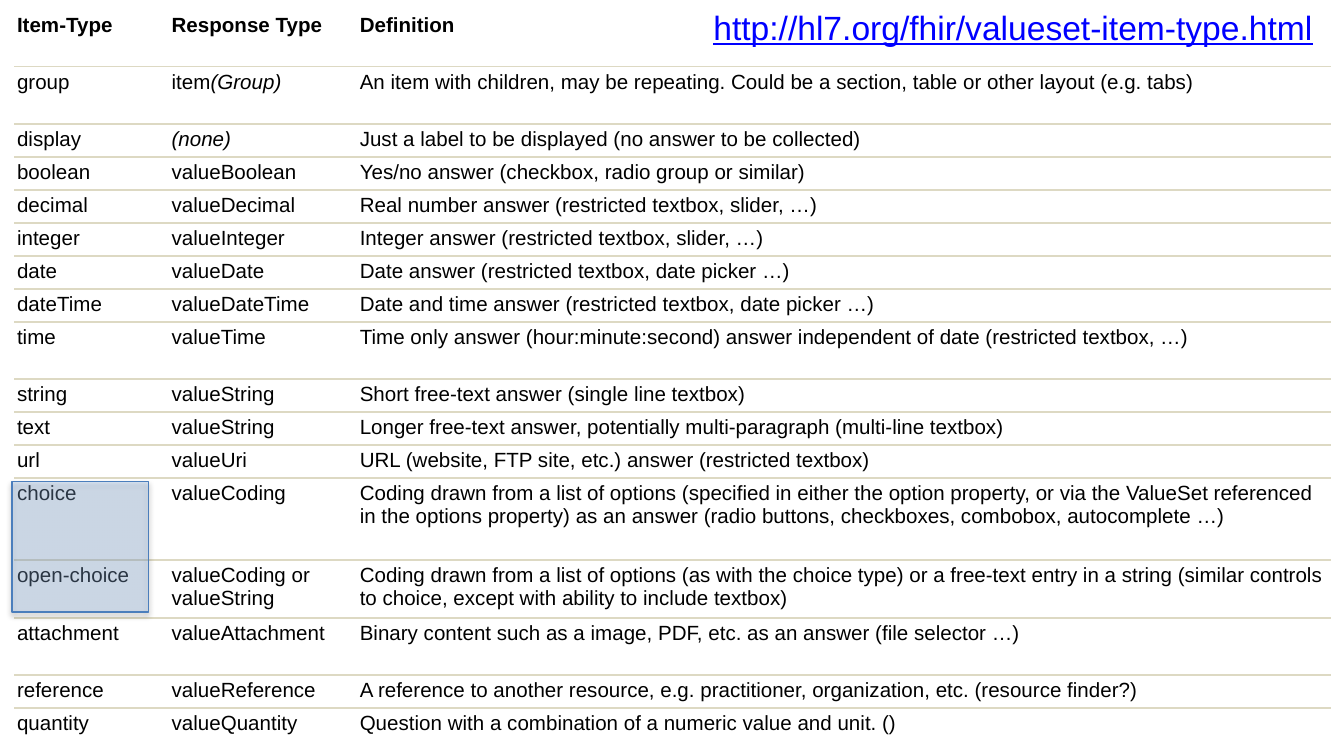
from dataclasses import dataclass

from lxml.etree import SubElement
from pptx import Presentation
from pptx.dml.color import RGBColor as Rgb
from pptx.enum.shapes import MSO_SHAPE as Shape
from pptx.enum.text import MSO_AUTO_SIZE as AutoSize
from pptx.oxml import parse_xml
from pptx.oxml.ns import nsdecls, qn
from pptx.util import Inches, Pt


@dataclass(frozen=True)
class Theme:
    """Colours, font and type sizes of the slide."""
    font: str = "Arial"
    ink: str = "000000"
    link: str = "0000FF"
    rule: str = "DDD9C3"
    marker_fill: str = "8EB4E3"
    marker_line: str = "4B7EBC"
    body_size: float = 11
    link_size: float = 18


THEME = Theme()
SLIDE_WIDTH = Inches(10)
SLIDE_HEIGHT = SLIDE_WIDTH * 9 // 16
COLUMN_SHARES = (1.15, 1.4, 7.25)
SINGLE, SPACED, DOUBLE, TRIPLE = 17.7, 30.6, 31, 43.9
HEADINGS = ("Item-Type", "Response Type", "Definition")
ITEM_TYPES = (
    (SPACED, "group", "item|(Group)", "An item with children, may be repeating. "
     "Could be a section, table or other layout (e.g. tabs)"),
    (SINGLE, "display", "|(none)", "Just a label to be displayed (no answer to be collected)"),
    (SINGLE, "boolean", "valueBoolean", "Yes/no answer (checkbox, radio group or similar)"),
    (SINGLE, "decimal", "valueDecimal", "Real number answer (restricted textbox, slider, …)"),
    (SINGLE, "integer", "valueInteger", "Integer answer (restricted textbox, slider, …)"),
    (SINGLE, "date", "valueDate", "Date answer (restricted textbox, date picker …)"),
    (SINGLE, "dateTime", "valueDateTime",
     "Date and time answer (restricted textbox, date picker …)"),
    (SPACED, "time", "valueTime", "Time only answer (hour:minute:second) answer "
     "independent of date (restricted textbox, …)"),
    (SINGLE, "string", "valueString", "Short free-text answer (single line textbox)"),
    (SINGLE, "text", "valueString",
     "Longer free-text answer, potentially multi-paragraph (multi-line textbox)"),
    (SINGLE, "url", "valueUri", "URL (website, FTP site, etc.) answer (restricted textbox)"),
    (TRIPLE, "choice", "valueCoding", "Coding drawn from a list of options (specified in "
     "either the option property, or via the ValueSet referenced in the options property) "
     "as an answer (radio buttons, checkboxes, combobox, autocomplete …)"),
    (DOUBLE, "open-choice", "valueCoding or valueString", "Coding drawn from a list of "
     "options (as with the choice type) or a free-text entry in a string (similar controls "
     "to choice, except with ability to include textbox)"),
    (SPACED, "attachment", "valueAttachment",
     "Binary content such as a image, PDF, etc. as an answer (file selector …)"),
    (SINGLE, "reference", "valueReference", "A reference to another resource, e.g. "
     "practitioner, organization, etc. (resource finder?)"),
    (SINGLE, "quantity", "valueQuantity",
     "Question with a combination of a numeric value and unit. ()"),
)


def percent_box(left, top, width, height):
    """Turn percentages of the slide into a box."""
    return (int(SLIDE_WIDTH * left / 100), int(SLIDE_HEIGHT * top / 100),
            int(SLIDE_WIDTH * width / 100), int(SLIDE_HEIGHT * height / 100))


def style_font(font, size, colour):
    """Set the theme font with a size and colour."""
    font.name, font.size = THEME.font, Pt(size)
    font.color.rgb = Rgb.from_string(colour)


def rule_cell(cell, sides):
    """Rule the given sides of a cell and clear the others."""
    properties = cell._tc.get_or_add_tcPr()
    for position, side in enumerate("LRTB"):
        paint = (f'<a:solidFill><a:srgbClr val="{THEME.rule}"/></a:solidFill>'
                 if side in sides else "<a:noFill/>")
        properties.insert(position, parse_xml(
            f'<a:ln{side} {nsdecls("a")} w="{Pt(1)}">{paint}</a:ln{side}>'))


def fill_cell(cell, wording, bold, sides):
    """Write a cell, with the part after a bar in italics."""
    cell.margin_left = cell.margin_right = Inches(0.02)
    cell.margin_top = cell.margin_bottom = Inches(0.03)
    cell.fill.background()
    paragraph = cell.text_frame.paragraphs[0]
    for position, part in enumerate(wording.split("|")):
        if part:
            run = paragraph.add_run()
            run.text = part
            style_font(run.font, THEME.body_size, THEME.ink)
            run.font.bold, run.font.italic = bold, position > 0
    rule_cell(cell, sides)


def add_item_table(slide, box):
    """Lay out the item types in a ruled table."""
    entries = ((SPACED, *HEADINGS), *ITEM_TYPES)
    table = slide.shapes.add_table(len(entries), len(HEADINGS), *box).table
    table.first_row = table.horz_banding = False
    for column, share in zip(table.columns, COLUMN_SHARES):
        column.width = int(box[2] * share / sum(COLUMN_SHARES))
    total = sum(entry[0] for entry in entries)
    last = len(entries) - 1
    for index, (share, *wordings) in enumerate(entries):
        table.rows[index].height = int(box[3] * share / total)
        sides = ("T" if index > 0 else "") + ("B" if index < last else "")
        for cell, wording in zip(table.rows[index].cells, wordings):
            fill_cell(cell, wording, index == 0, sides)


def add_source_link(slide, box):
    """Place the underlined web address."""
    frame = slide.shapes.add_textbox(*box).text_frame
    frame.word_wrap = False
    frame.auto_size = AutoSize.SHAPE_TO_FIT_TEXT
    frame.text = "http://hl7.org/fhir/valueset-item-type.html"
    font = frame.paragraphs[0].runs[0].font
    style_font(font, THEME.link_size, THEME.link)
    font.underline = True


def add_choice_marker(slide, box):
    """Lay a translucent, shadowed marker over the choice types."""
    marker = slide.shapes.add_shape(Shape.RECTANGLE, *box)
    marker.fill.solid()
    marker.fill.fore_color.rgb = Rgb.from_string(THEME.marker_fill)
    marker.line.color.rgb = Rgb.from_string(THEME.marker_line)
    marker.line.width = Pt(0.75)
    properties = marker._element.spPr
    colour = properties.find(qn("a:solidFill")).find(qn("a:srgbClr"))
    SubElement(colour, qn("a:alpha"), val="30000")
    marker.shadow.inherit = False
    properties.find(qn("a:effectLst")).append(parse_xml(
        f'<a:outerShdw {nsdecls("a")} blurRad="{Pt(3.1)}" dist="{Pt(1.8)}" '
        f'dir="5400000" rotWithShape="0"><a:srgbClr val="{THEME.ink}">'
        '<a:alpha val="35000"/></a:srgbClr></a:outerShdw>'))


def main():
    """Build and save the slide."""
    deck = Presentation()
    deck.slide_width, deck.slide_height = SLIDE_WIDTH, SLIDE_HEIGHT
    slide = deck.slides.add_slide(deck.slide_layouts[6])
    add_item_table(slide, percent_box(1.07, 1.25, 98, 96.85))
    add_source_link(slide, percent_box(52.1, 0, 47, 7.12))
    add_choice_marker(slide, percent_box(0.9, 63.7, 10.13, 17.26))
    deck.save("out.pptx")


if __name__ == "__main__":
    main()
